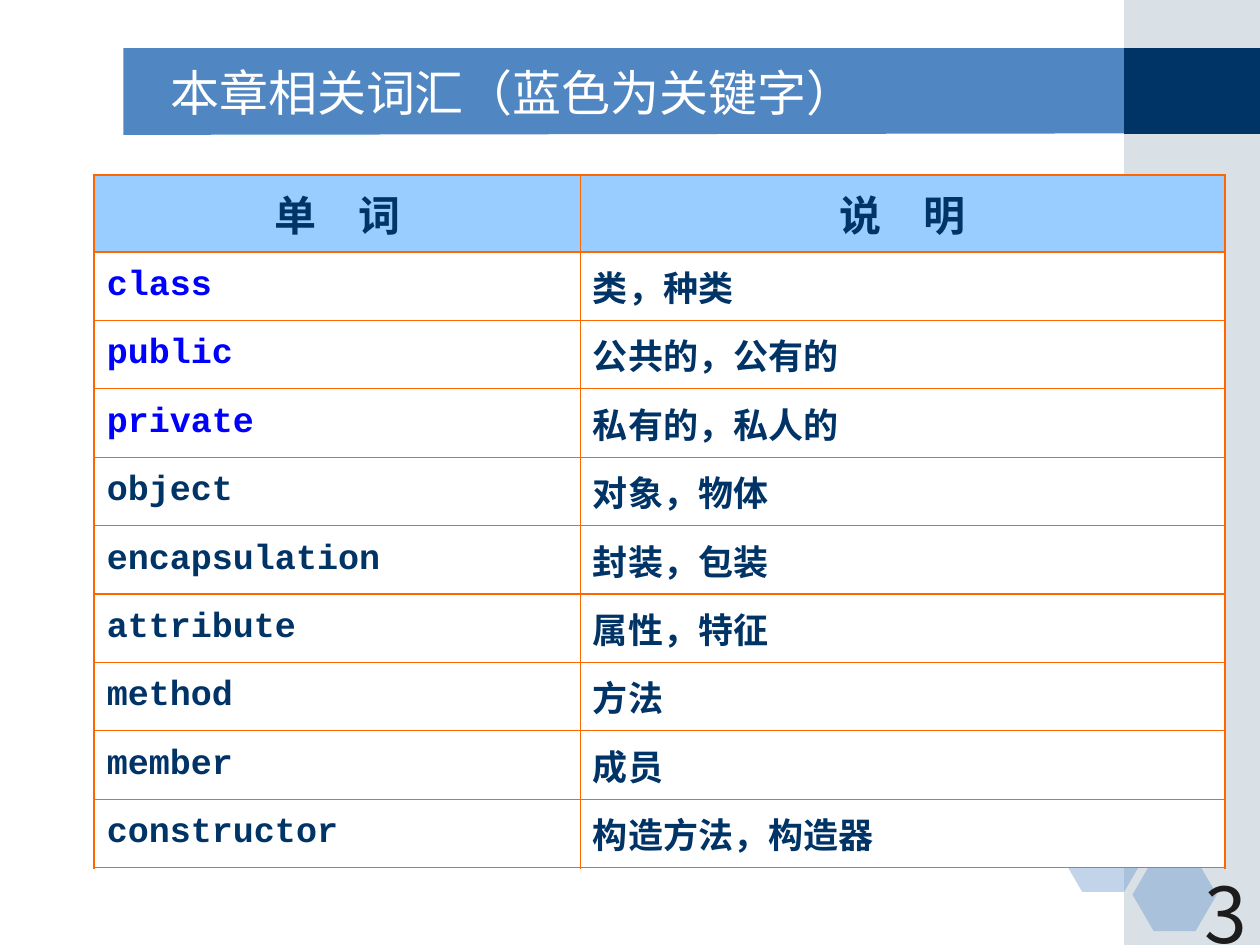
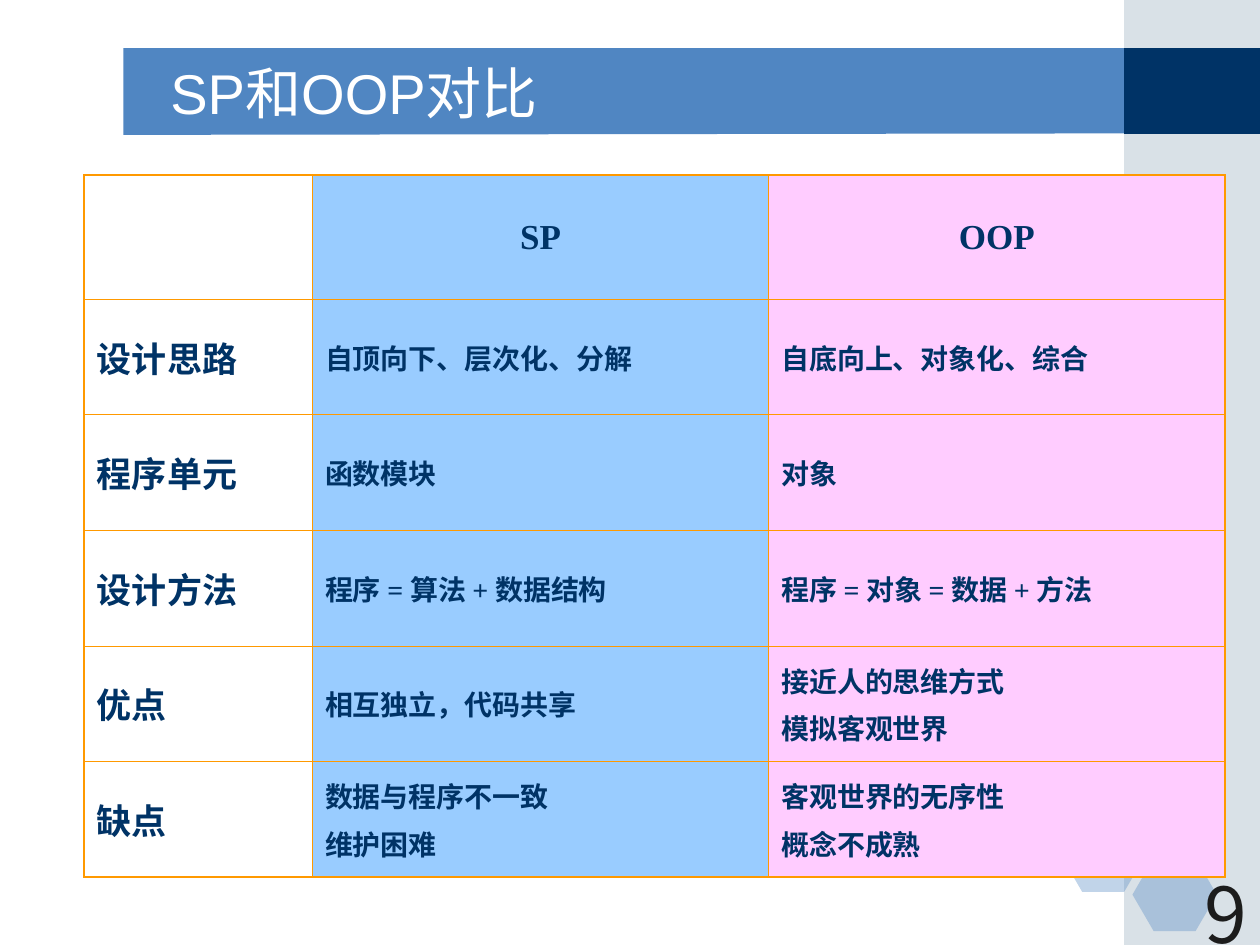
import lxml.etree
import pptx
import pptx.dml.color
import pptx.enum.shapes
import pptx.enum.text
import pptx.oxml.ns
import pptx.util

Cm = pptx.util.Cm
Pt = pptx.util.Pt
qn = pptx.oxml.ns.qn
ALIGN = pptx.enum.text.PP_ALIGN
MIDDLE = pptx.enum.text.MSO_ANCHOR.MIDDLE
SHAPE = pptx.enum.shapes.MSO_SHAPE

BLUE, NAVY, GREY = "5086C2", "003366", "A0B5C4"
SKY, PINK, WHITE, KEYWORD = "99CCFF", "FFCCFF", "FFFFFF", "0000FF"
CJK_FONT = "Noto Sans CJK SC"
TITLE_BOX = (3.18, 1.07, 18.62, 1.57)
NUMBER_BOX = (20.12, 17.35, 5.28, 1.27)

WORDS = [
    ("class", "类，种类"),
    ("public", "公共的，公有的"),
    ("private", "私有的，私人的"),
    ("object", "对象，物体"),
    ("encapsulation", "封装，包装"),
    ("attribute", "属性，特征"),
    ("method", "方法"),
    ("member", "成员"),
    ("constructor", "构造方法，构造器"),
]
KEYWORDS = ("class", "public", "private")
COMPARISON = [
    ("设计思路", "自顶向下、层次化、分解", "自底向上、对象化、综合"),
    ("程序单元", "函数模块", "对象"),
    ("设计方法", "程序 = 算法 + 数据结构", "程序 = 对象 = 数据 + 方法"),
    ("优点", "相互独立，代码共享", "接近人的思维方式\n模拟客观世界"),
    ("缺点", "数据与程序不一致\n维护困难", "客观世界的无序性\n概念不成熟"),
]


def rgb(color):
    return pptx.dml.color.RGBColor.from_string(color)


def cm_box(box):
    return [Cm(length) for length in box]


def paint(sp, color, alpha=None):
    sp.shadow.inherit = False
    sp.line.fill.background()
    sp.fill.solid()
    sp.fill.fore_color.rgb = rgb(color)
    if alpha:
        clr = sp._element.spPr.find(qn("a:solidFill"))[0]
        lxml.etree.SubElement(clr, qn("a:alpha")).set("val", str(alpha * 1000))


def write(tf, text, size=20, font="Arial", color=NAVY, bold=False,
          align=ALIGN.LEFT, gap=4):
    for i, line in enumerate(text.split("\n")):
        p = tf.add_paragraph() if i else tf.paragraphs[0]
        p.alignment = align
        p.space_before = Pt(gap if i else 0)
        r = p.add_run()
        r.text = line
        r.font.size = Pt(size)
        r.font.name = font
        r.font.bold = bold
        r.font.color.rgb = rgb(color)
        ea = lxml.etree.SubElement(r._r.get_or_add_rPr(), qn("a:ea"))
        ea.set("typeface", CJK_FONT)


def add_block(slide, kind, box, color, alpha=None):
    sp = slide.shapes.add_shape(kind, *cm_box(box))
    paint(sp, color, alpha)
    return sp


def decorate(slide, layout):
    left, top, right = 2.49, 0.97, 22.73
    builder = slide.shapes.build_freeform(Cm(left), Cm(top))
    builder.add_line_segments(
        [(Cm(right), Cm(top)), (Cm(right), Cm(2.69)), (Cm(left), Cm(2.72))])
    band = builder.convert_to_shape()
    paint(band, BLUE)
    parts = [
        band,
        add_block(slide, SHAPE.RECTANGLE, (22.66, 0, 2.74, 19.05), GREY, 40),
        add_block(slide, SHAPE.RECTANGLE, (22.66, top, 2.74, 1.73), NAVY),
    ]
    for x, y in ((21.39, 16.51), (22.86, 15.67), (22.83, 17.3)):
        hexagon = add_block(slide, SHAPE.HEXAGON, (x, y, 1.7, 1.47), BLUE, 35)
        hexagon.adjustments[0] = 0.29
        parts.append(hexagon)
    for sp in parts:
        layout.shapes._spTree.append(sp._element)


def add_title(slide, text, size):
    sp = slide.shapes.title
    sp.left, sp.top, sp.width, sp.height = cm_box(TITLE_BOX)
    tf = sp.text_frame
    tf.auto_size = pptx.enum.text.MSO_AUTO_SIZE.NONE
    tf.vertical_anchor = MIDDLE
    write(tf, text, size=size, color=WHITE)


def add_number(slide, number):
    tf = slide.shapes.add_textbox(*cm_box(NUMBER_BOX)).text_frame
    tf.word_wrap = True
    write(tf, number, size=44, font=CJK_FONT, color="1C1C1C", align=ALIGN.RIGHT)


def set_borders(cell, color, widths):
    tcPr = cell._tc.get_or_add_tcPr()
    for side, width in widths.items():
        ln = lxml.etree.SubElement(tcPr, qn("a:ln" + side))
        ln.set("w", str(Pt(width)))
        fill = lxml.etree.SubElement(ln, qn("a:solidFill"))
        lxml.etree.SubElement(fill, qn("a:srgbClr")).set("val", color)


def add_grid(slide, left, top, cols, rows, border, inner, outer=1.08):
    frame = slide.shapes.add_table(
        len(rows), len(cols), *cm_box((left, top, sum(cols), sum(rows))))
    table = frame.table
    table.first_row = table.horz_banding = False
    for column, width in zip(table.columns, cols):
        column.width = Cm(width)
    for row, height in zip(table.rows, rows):
        row.height = Cm(height)
    for i in range(len(rows)):
        for j in range(len(cols)):
            edges = {"L": j == 0, "R": j == len(cols) - 1,
                     "T": i == 0, "B": i == len(rows) - 1}
            set_borders(table.cell(i, j), border,
                        {s: outer if edge else inner for s, edge in edges.items()})
    return table


def fill_cell(cell, text, fill, **style):
    cell.fill.solid()
    cell.fill.fore_color.rgb = rgb(fill)
    cell.vertical_anchor = MIDDLE
    if text:
        write(cell.text_frame, text, bold=True, **style)


def add_word_table(slide, left, top):
    table = add_grid(slide, left, top, [9.8, 13], [1.55] + [1.38] * len(WORDS),
                     "FF6600", 0.75)
    for j, head in enumerate(("单　词", "说　明")):
        fill_cell(table.cell(0, j), head, SKY, size=24, font="Courier New",
                  align=ALIGN.CENTER)
    for i, row in enumerate(WORDS, 1):
        for j, text in enumerate(row):
            fill_cell(table.cell(i, j), text, WHITE, font="Courier New",
                      color=KEYWORD if text in KEYWORDS else NAVY)


def add_comparison_table(slide, left, top):
    table = add_grid(slide, left, top, [4.6, 9.2, 9.2],
                     [2.5] + [2.33] * len(COMPARISON), "FF9900", 0.45)
    for i, row in enumerate([("", "SP", "OOP")] + COMPARISON):
        for j, (text, fill) in enumerate(zip(row, (WHITE, SKY, PINK))):
            fill_cell(table.cell(i, j), text, fill, font="Times New Roman",
                      size=16 if i and j else 20,
                      align=ALIGN.LEFT if i else ALIGN.CENTER)


def main():
    prs = pptx.Presentation()
    prs.slide_width, prs.slide_height = Cm(25.4), Cm(19.05)
    layout = prs.slide_layouts[5]

    words = prs.slides.add_slide(layout)
    decorate(words, layout)
    add_title(words, "本章相关词汇（蓝色为关键字）", 28)
    add_number(words, "3")
    add_word_table(words, 1.9, 3.53)

    comparison = prs.slides.add_slide(layout)
    add_title(comparison, "SP和OOP对比", 32)
    add_number(comparison, "9")
    add_comparison_table(comparison, 1.7, 3.53)

    prs.save("out.pptx")


if __name__ == "__main__":
    main()
